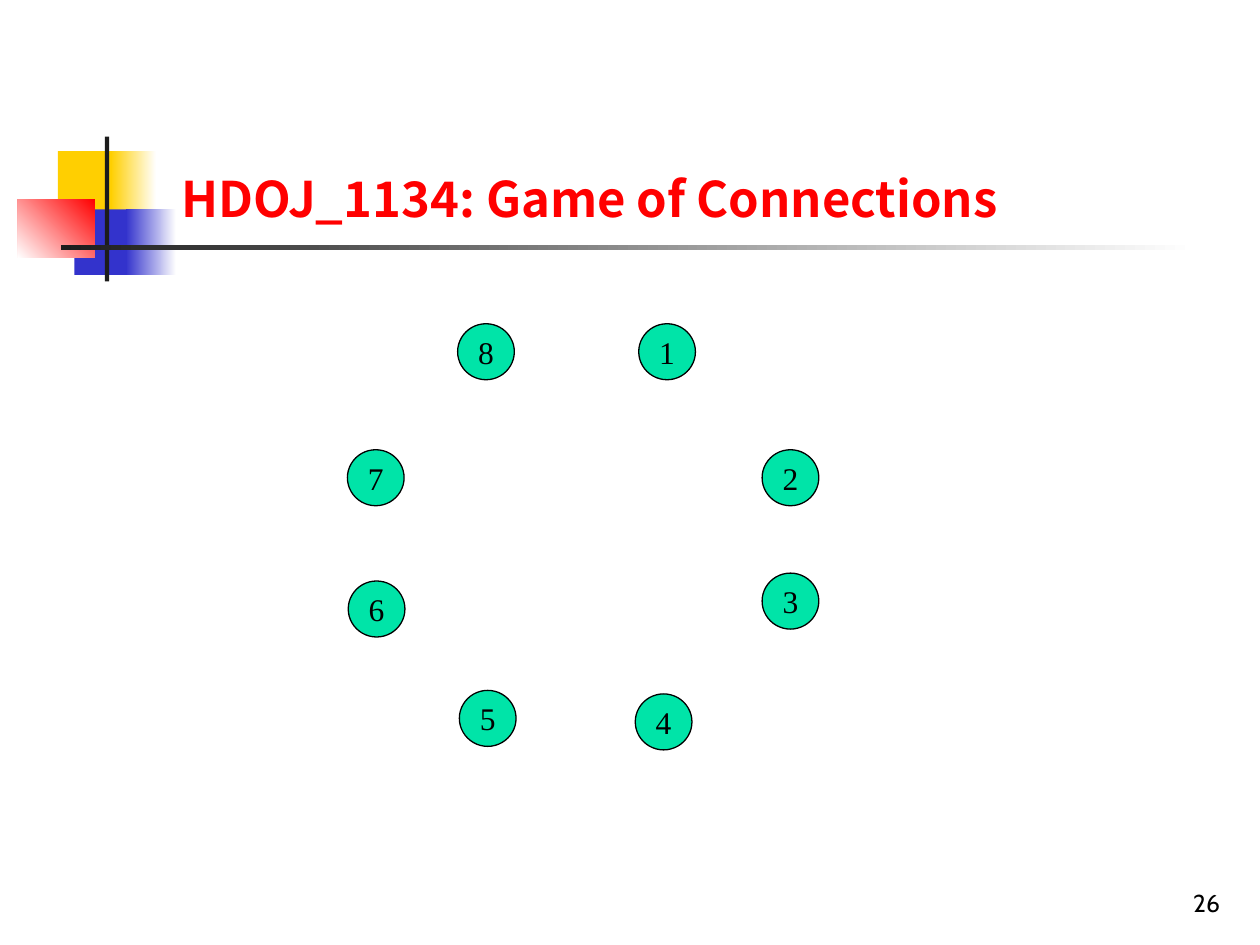
import pptx
import pptx.dml.color
import pptx.enum.shapes
import pptx.enum.text
import pptx.util

Pt = pptx.util.Pt
Shape = pptx.enum.shapes.MSO_SHAPE
Anchor = pptx.enum.text.MSO_ANCHOR
Align = pptx.enum.text.PP_ALIGN

THEME = {
    "yellow": "FFCF01", "blue": "3333CC", "red": "FF0000",
    "dark": "1C1C1C", "white": "FFFFFF", "black": "000000", "node": "00E4A8",
    "title_font": "Noto Sans CJK KR", "body_font": "Cabin", "node_font": "Times New Roman",
    "title_size": 28, "space_size": 60, "node_size": 18, "number_size": 14,
    "outline": 0.75,
}

FADE_RIGHT = 180
FADE_DOWN_LEFT = 225
ORNAMENTS = [
    ((33.1, 86.4, 34.6, 37.4), ("yellow",), None),
    ((63.4, 86.4, 25.9, 37.4), ("white", "yellow"), FADE_RIGHT),
    ((42.5, 119.7, 33.1, 37.4), ("blue",), None),
    ((72, 119.7, 28.8, 37.4), ("white", "blue"), FADE_RIGHT),
    ((10, 113.8, 44.2, 33.4), ("red", "white"), FADE_DOWN_LEFT),
    ((59.9, 78, 2.5, 82.8), ("dark",), None),
    ((34.8, 140.2, 648, 2.5), ("white", "dark"), FADE_RIGHT),
]

TITLE_BOX = (96.5, 60.5, 595.4, 79.2)
TITLE = [
    ("HDOJ_1134: Game of Connections", "title_font", "title_size", "red", True),
    (" ", "body_font", "space_size", "red", True),
]
NUMBER_BOX = (554.4, 491.8, 149.8, 36)
NUMBER = [("26", "body_font", "number_size", "black", False)]

NODE_SIZE = (32.4, 32)
NODES = [
    (365, 185), (435.5, 257), (435.5, 327.5), (363, 396.5),
    (262.5, 394.5), (199, 332), (198.5, 257), (261.5, 185),
]


def color(name):
    return pptx.dml.color.RGBColor.from_string(THEME[name])


def add_shape(page, kind, place, colors, angle=None):
    shape = page.shapes.add_shape(kind, *map(Pt, place))
    shape.shadow.inherit = False
    shape.line.fill.background()
    if angle is None:
        shape.fill.solid()
        shape.fill.fore_color.rgb = color(colors[0])
    else:
        shape.fill.gradient()
        shape.fill.gradient_angle = angle
        for stop, name in zip(shape.fill.gradient_stops, colors):
            stop.color.rgb = color(name)
    return shape


def write(shape, runs, align, anchor, wrap=True):
    frame = shape.text_frame
    frame.word_wrap = wrap
    frame.vertical_anchor = anchor
    para = frame.paragraphs[0]
    para.alignment = align
    for text, font, size, ink, bold in runs:
        span = para.add_run()
        span.text = text
        span.font.name = THEME[font]
        span.font.size = Pt(THEME[size])
        span.font.bold = bold
        span.font.color.rgb = color(ink)


def add_text(page, place, runs, align):
    box = page.shapes.add_textbox(*map(Pt, place))
    write(box, runs, align, Anchor.BOTTOM)


def add_node(page, label, corner):
    node = add_shape(page, Shape.OVAL, corner + NODE_SIZE, ("node",))
    node.line.color.rgb = color("black")
    node.line.width = Pt(THEME["outline"])
    runs = [(label, "node_font", "node_size", "black", False)]
    write(node, runs, Align.CENTER, Anchor.MIDDLE, wrap=False)


def main():
    deck = pptx.Presentation()
    deck.slide_width, deck.slide_height = Pt(720), Pt(540)
    page = deck.slides.add_slide(deck.slide_layouts[6])
    for place, colors, angle in ORNAMENTS:
        add_shape(page, Shape.RECTANGLE, place, colors, angle)
    add_text(page, TITLE_BOX, TITLE, Align.LEFT)
    for number, corner in enumerate(NODES, 1):
        add_node(page, str(number), corner)
    add_text(page, NUMBER_BOX, NUMBER, Align.RIGHT)
    deck.save("out.pptx")


if __name__ == "__main__":
    main()
